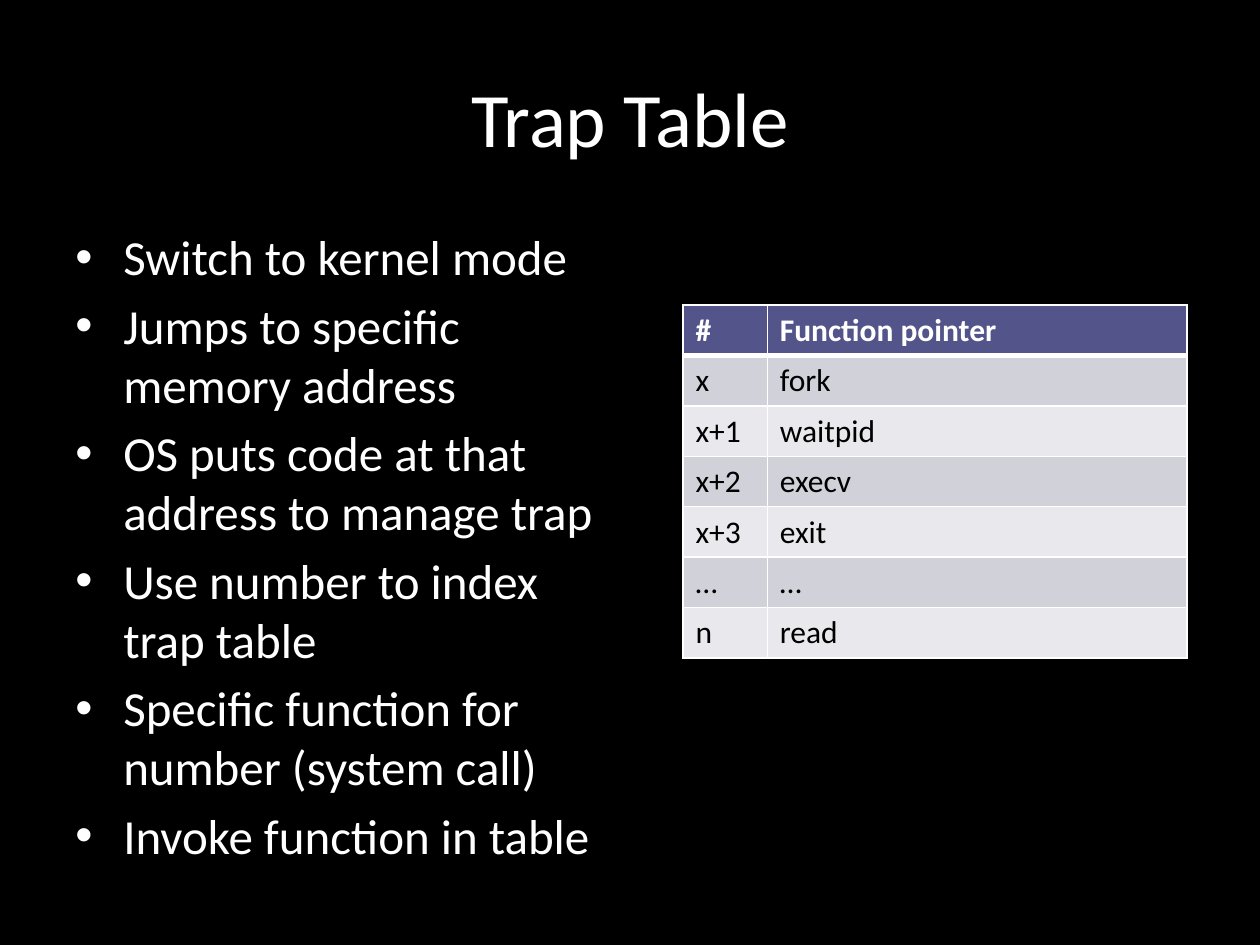
from lxml.etree import SubElement
from pptx import Presentation
from pptx.dml.color import RGBColor
from pptx.enum.text import MSO_ANCHOR, PP_ALIGN
from pptx.oxml.ns import qn
from pptx.util import Inches, Pt

FONT = "Calibri"
WHITE, BLACK = "FFFFFF", "000000"
HEADER_FILL = "53548A"
BAND_FILLS = ["E9E9ED", "D1D1DA"]
STEPS = [
    "Switch to kernel mode",
    "Jumps to specific memory address",
    "OS puts code at that address to manage trap",
    "Use number to index trap table",
    "Specific function for number (system call)",
    "Invoke function in table",
]
TRAP_ROWS = [
    ("#", "Function pointer"),
    ("x", "fork"),
    ("x+1", "waitpid"),
    ("x+2", "execv"),
    ("x+3", "exit"),
    ("…", "…"),
    ("n", "read"),
]


def color(value):
    """Turn a hex string into a colour."""
    return RGBColor.from_string(value)


def format_runs(paragraph, size, font_color, bold=False):
    """Set the font of every run in a paragraph."""
    for run in paragraph.runs:
        run.font.name = FONT
        run.font.size = Pt(size)
        run.font.bold = bold
        run.font.color.rgb = color(font_color)


def set_title(slide, text):
    """Place and format the title placeholder."""
    title = slide.shapes.title
    title.left, title.top = Inches(0.5), Inches(0.3)
    title.width, title.height = Inches(9), Inches(1.25)
    title.text_frame.text = text
    title.text_frame.vertical_anchor = MSO_ANCHOR.MIDDLE
    heading = title.text_frame.paragraphs[0]
    heading.alignment = PP_ALIGN.CENTER
    format_runs(heading, 44, WHITE)


def add_bullets(slide, items):
    """Add the bulleted list of steps."""
    box = slide.shapes.add_textbox(Inches(0.5), Inches(1.75), Inches(4.42), Inches(4.95))
    frame = box.text_frame
    frame.word_wrap = True
    frame.text = "\n".join(items)
    for step in frame.paragraphs:
        step.space_before = Pt(5.6)
        format_runs(step, 28, WHITE)
        properties = step._p.get_or_add_pPr()
        properties.set("marL", str(Inches(0.38)))
        properties.set("indent", str(Inches(-0.38)))
        SubElement(properties, qn("a:buFont"), typeface="Arial")
        SubElement(properties, qn("a:buChar"), char="•")


def set_borders(cell, top, bottom):
    """Draw white cell borders with the given top and bottom widths in points."""
    properties = cell._tc.get_or_add_tcPr()
    for side, width in (("L", 1), ("R", 1), ("T", top), ("B", bottom)):
        line = SubElement(properties, qn(f"a:ln{side}"), w=str(Pt(width)))
        fill = SubElement(line, qn("a:solidFill"))
        SubElement(fill, qn("a:srgbClr"), val=WHITE)


def add_trap_table(slide, rows):
    """Add the table that maps trap numbers to functions."""
    frame = slide.shapes.add_table(
        len(rows), 2, Inches(5.42), Inches(2.42), Inches(4), Inches(0.4) * len(rows)
    )
    table = frame.table
    for column, width in zip(table.columns, (0.67, 3.33)):
        column.width = Inches(width)
    for row_index, entries in enumerate(rows):
        is_header = row_index == 0
        for column_index, entry in enumerate(entries):
            cell = table.cell(row_index, column_index)
            set_borders(cell, 3 if row_index == 1 else 1, 3 if is_header else 1)
            cell.fill.solid()
            band_fill = BAND_FILLS[row_index % 2]
            cell.fill.fore_color.rgb = color(HEADER_FILL if is_header else band_fill)
            cell.text_frame.text = entry
            font_color = WHITE if is_header else BLACK
            format_runs(cell.text_frame.paragraphs[0], 18, font_color, is_header)


def main():
    """Build the trap table slide."""
    presentation = Presentation()
    presentation.slide_width, presentation.slide_height = Inches(10), Inches(7.5)
    slide = presentation.slides.add_slide(presentation.slide_layouts[5])
    slide.background.fill.solid()
    slide.background.fill.fore_color.rgb = color(BLACK)
    set_title(slide, "Trap Table")
    add_bullets(slide, STEPS)
    add_trap_table(slide, TRAP_ROWS)
    presentation.save("out.pptx")


if __name__ == "__main__":
    main()
